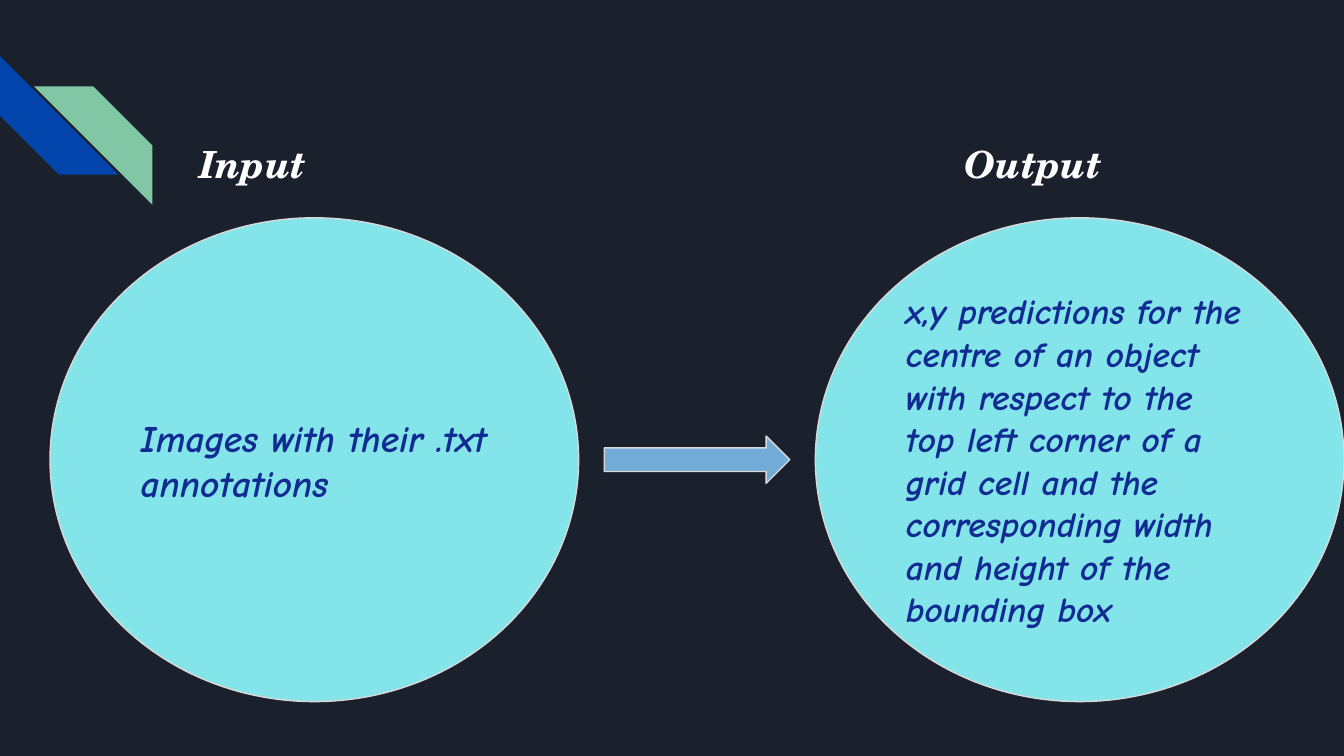
from pptx import Presentation
from pptx.util import Pt
from pptx.dml.color import RGBColor as RGB
from pptx.enum.shapes import MSO_SHAPE as Kind
from pptx.enum.text import MSO_ANCHOR as Anchor, PP_ALIGN as Align, MSO_AUTO_SIZE as Fit

# Content: heading, body, body size
STEPS = [
    ("Input", "Images with their .txt annotations", 20),
    ("Output", "x,y predictions for the centre of an object with respect to "
     "the top left corner of a grid cell and the corresponding width and "
     "height of the bounding box", 19),
]
# Corner stripes: left, top, turn, colour
STRIPES = [(0, 30.1, 270, "0145AC"), (18.2, 46.3, 90, "82C7A5")]

# Layout in points
WIDE, HIGH = 720, 405
STRIPE = 63.5
LEFT, TOP, OVAL_W, OVAL_H = 26.8, 116.7, 283.2, 259.2
STEP = WIDE - OVAL_W - LEFT
HEAD_IN, HEAD_TOP, HEAD_W, HEAD_H = 72.9, 68.4, 118, 39
ARROW_W, ARROW_H = 99.4, 25.4
PAD = 7.2
EDGE = "D9D9D9"
HEAD = {"name": "TeX Gyre Schola", "size": Pt(20), "bold": True, "italic": True}
BODY = {"name": "Comic Neue", "bold": True, "italic": True}


def paint(fmt, tone):
    fmt.solid()
    fmt.fore_color.rgb = RGB.from_string(tone)


def draw(kind, box, tone, edge=None):
    shape = slide.shapes.add_shape(kind, *map(Pt, box))
    shape.shadow.inherit = False
    paint(shape.fill, tone)
    if edge:
        paint(shape.line.fill, edge)
        shape.line.width = Pt(0.75)
    else:
        shape.line.fill.background()
    return shape


def write(shape, text, style, tone, anchor):
    frame = shape.text_frame
    frame.word_wrap = True
    frame.vertical_anchor = anchor
    for side in ("left", "top", "right", "bottom"):
        setattr(frame, "margin_" + side, Pt(PAD))
    para = frame.paragraphs[0]
    para.alignment = Align.LEFT
    run = para.add_run()
    run.text = text
    for key, value in style.items():
        setattr(run.font, key, value)
    run.font.color.rgb = RGB.from_string(tone)


deck = Presentation()
deck.slide_width, deck.slide_height = Pt(WIDE), Pt(HIGH)
slide = deck.slides.add_slide(deck.slide_layouts[6])
paint(slide.background.fill, "1B212C")

# Corner stripes
for x, y, turn, tone in STRIPES:
    stripe = draw(Kind.DIAGONAL_STRIPE, (x, y, STRIPE, STRIPE), tone)
    stripe.rotation = turn

# Ovals with their headings
for i, (head, body, size) in enumerate(STEPS):
    x = LEFT + i * STEP
    oval = draw(Kind.OVAL, (x, TOP, OVAL_W, OVAL_H), "83E4E9", EDGE)
    write(oval, body, BODY | {"size": Pt(size)}, "102B91", Anchor.MIDDLE)
    box = (x + HEAD_IN, HEAD_TOP, HEAD_W, HEAD_H)
    label = slide.shapes.add_textbox(*map(Pt, box))
    write(label, head, HEAD, "FFFFFF", Anchor.TOP)
    label.text_frame.auto_size = Fit.SHAPE_TO_FIT_TEXT

# Arrow centred between the ovals
x = LEFT + (STEP + OVAL_W - ARROW_W) / 2
y = TOP + (OVAL_H - ARROW_H) / 2
draw(Kind.RIGHT_ARROW, (x, y, ARROW_W, ARROW_H), "72ABD5", EDGE)

deck.save("out.pptx")
